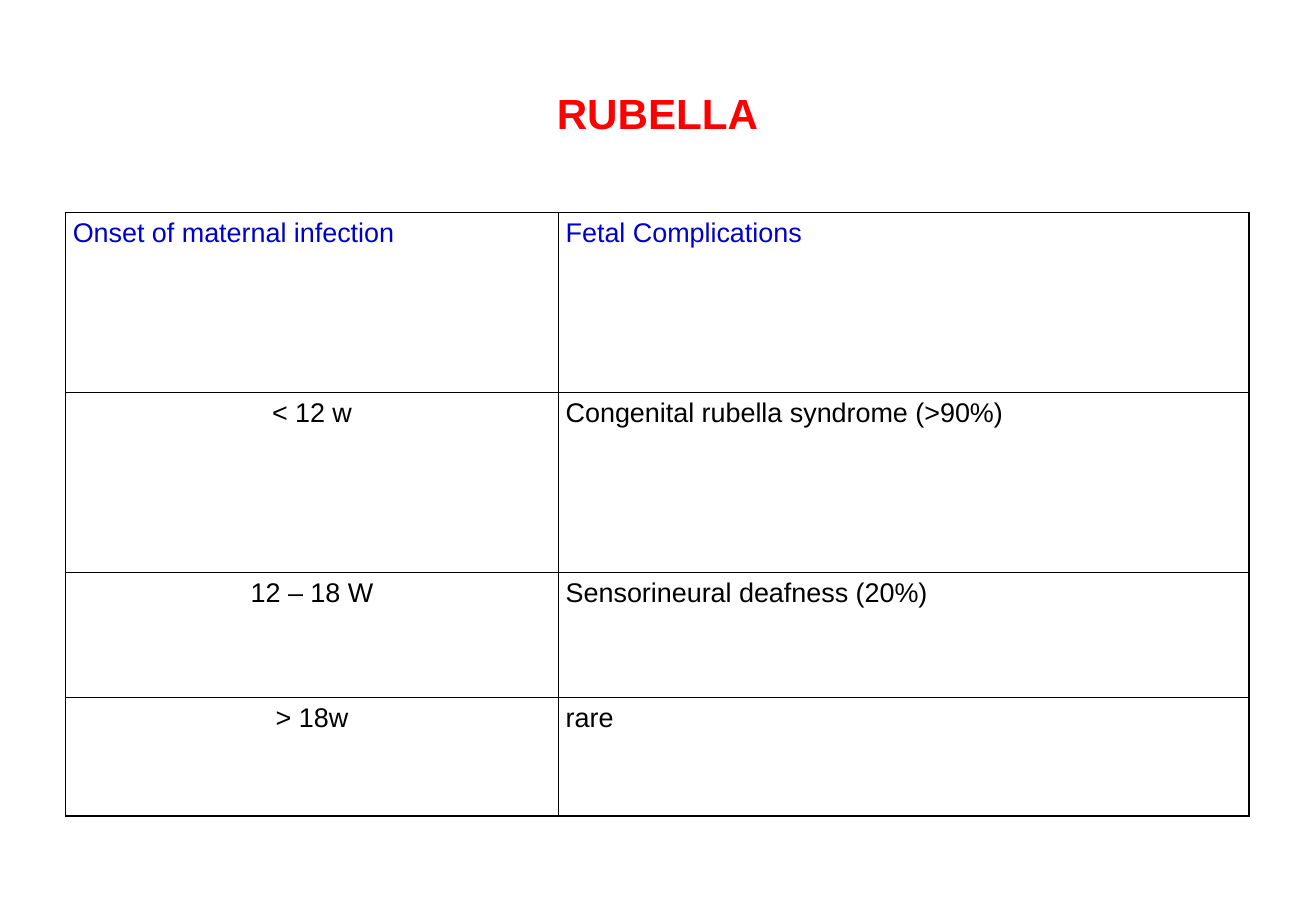
from lxml import etree
from pptx import Presentation, util as u
from pptx.dml.color import RGBColor
from pptx.enum import text
from pptx.oxml import ns

WIDE, HIGH = 10.84, 7.5
LEFT, SPAN = 0.54, 9.75
INK = {"title": "FF0000", "head": "0000CC", "body": "000000", "line": "000000"}
THICK, THIN = 1.08, 0.45
COLS = [4.06, 5.69]
ROWS = [1.48, 1.48, 1.03, 0.98]
CELLS = [
    ["Onset of maternal infection", "Fetal Complications"],
    ["< 12 w", "Congenital rubella syndrome (>90%)"],
    ["12 – 18 W", "Sensorineural deafness (20%)"],
    ["> 18w", "rare"],
]


def style(para, size, ink, align, bold=False):
    para.alignment = align
    for run in para.runs:
        run.font.name = "Arial"
        run.font.size = u.Pt(size)
        run.font.bold = bold
        run.font.color.rgb = RGBColor.from_string(INK[ink])


def pad(item, side, end):
    item.margin_left = item.margin_right = u.Inches(side)
    item.margin_top = item.margin_bottom = u.Inches(end)


def border(cell, sides):
    props = cell._tc.get_or_add_tcPr()
    for spot, (side, width) in enumerate(sides.items()):
        line = etree.Element(ns.qn("a:ln" + side), w=str(int(u.Pt(width))))
        fill = etree.SubElement(line, ns.qn("a:solidFill"))
        etree.SubElement(fill, ns.qn("a:srgbClr"), val=INK["line"])
        props.insert(spot, line)


def add_title(slide, box):
    title = slide.shapes.title
    title.left, title.top, title.width, title.height = map(u.Inches, box)
    frame = title.text_frame
    frame.text = "RUBELLA"
    frame.vertical_anchor = text.MSO_ANCHOR.MIDDLE
    pad(frame, 0.06, 0.03)
    style(frame.paragraphs[0], 25, "title", text.PP_ALIGN.CENTER, True)


def add_grid(slide, box):
    rows, cols = len(ROWS), len(COLS)
    grid = slide.shapes.add_table(rows, cols, *map(u.Inches, box)).table
    grid.first_row = grid.horz_banding = False
    for col, width in zip(grid.columns, COLS):
        col.width = u.Inches(width)
    for row, height in zip(grid.rows, ROWS):
        row.height = u.Inches(height)
    for r, line in enumerate(CELLS):
        for c, words in enumerate(line):
            cell = grid.cell(r, c)
            cell.text = words
            pad(cell, 0.06, 0.05)
            cell.vertical_anchor = text.MSO_ANCHOR.TOP
            cell.fill.background()
            mid = r > 0 and c == 0
            align = text.PP_ALIGN.CENTER if mid else text.PP_ALIGN.LEFT
            ink = "body" if r else "head"
            style(cell.text_frame.paragraphs[0], 16, ink, align)
            edges = {"L": c == 0, "R": c == cols - 1,
                     "T": r == 0, "B": r == rows - 1}
            border(cell, {side: THICK if edge else THIN
                          for side, edge in edges.items()})


def main():
    deck = Presentation()
    deck.slide_width, deck.slide_height = u.Inches(WIDE), u.Inches(HIGH)
    slide = deck.slides.add_slide(deck.slide_layouts[5])
    add_title(slide, (LEFT, 0.3, SPAN, 1.25))
    add_grid(slide, (LEFT, 1.75, SPAN, sum(ROWS)))
    deck.save("out.pptx")


if __name__ == "__main__":
    main()
